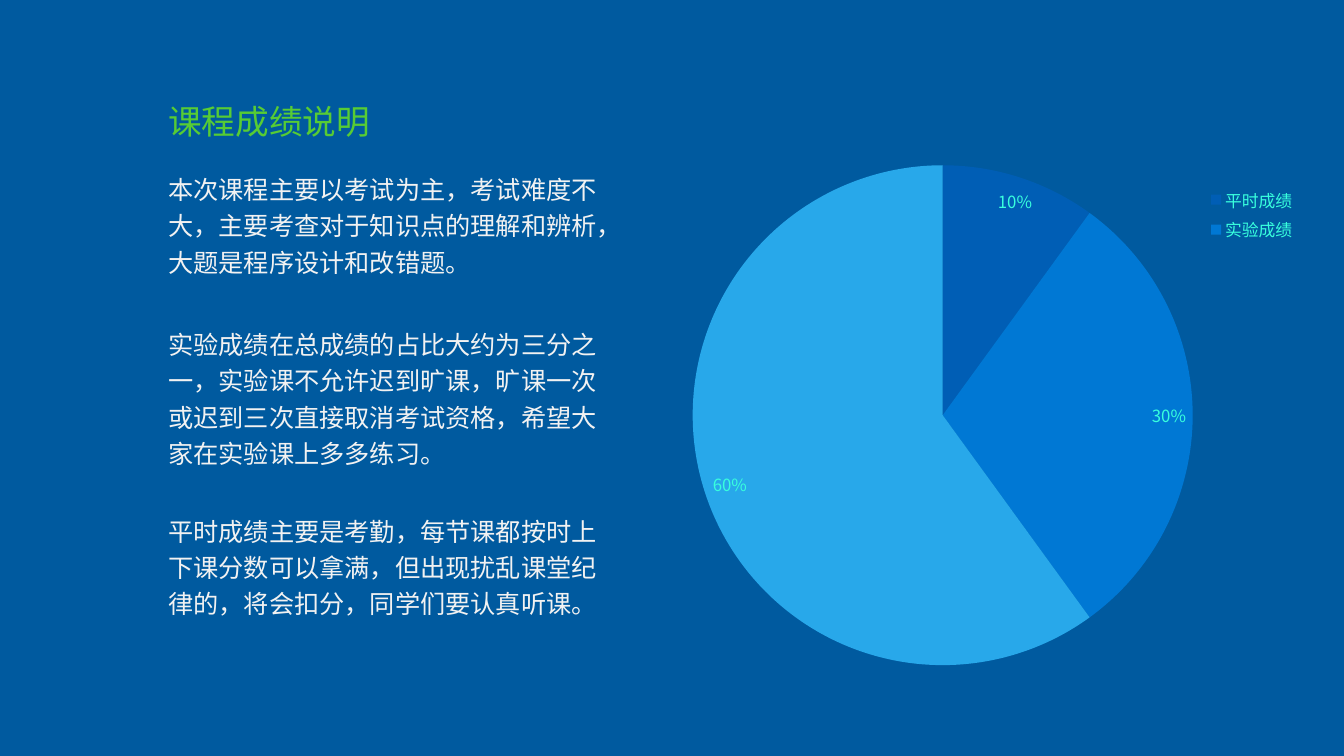
from lxml import etree
from pptx import Presentation
from pptx.chart.data import CategoryChartData
from pptx.dml.color import RGBColor
from pptx.enum.chart import XL_CHART_TYPE, XL_LABEL_POSITION, XL_LEGEND_POSITION
from pptx.enum.text import MSO_ANCHOR, MSO_AUTO_SIZE, PP_ALIGN
from pptx.oxml.ns import qn
from pptx.util import Inches, Pt

PIE = XL_CHART_TYPE.PIE
BEST_FIT = XL_LABEL_POSITION.BEST_FIT
LEGEND_RIGHT = XL_LEGEND_POSITION.RIGHT
TOP = MSO_ANCHOR.TOP
FIT_SHAPE = MSO_AUTO_SIZE.SHAPE_TO_FIT_TEXT
LEFT = PP_ALIGN.LEFT

FONT = "Noto Sans CJK SC"
BACKGROUND = RGBColor(0x00, 0x5A, 0x9F)
GREEN = RGBColor(0x57, 0xCC, 0x34)
OFF_WHITE = RGBColor(0xF2, 0xF2, 0xF2)
TURQUOISE = RGBColor(0x38, 0xFF, 0xDD)

TITLE = "课程成绩说明"
# top, height, text
NOTES = [
    (1.62, 1.17, "本次课程主要以考试为主，考试难度不大，主要考查对于知识点的理解和辨析，大题是程序设计和改错题。"),
    (3.16, 1.53, "实验成绩在总成绩的占比大约为三分之一，实验课不允许迟到旷课，旷课一次或迟到三次直接取消考试资格，希望大家在实验课上多多练习。"),
    (5.01, 1.17, "平时成绩主要是考勤，每节课都按时上下课分数可以拿满，但出现扰乱课堂纪律的，将会扣分，同学们要认真听课。"),
]
# category, share, colour
SHARES = [
    ("平时成绩", 0.1, RGBColor(0x00, 0x5E, 0xB5)),
    ("实验成绩", 0.3, RGBColor(0x00, 0x78, 0xD4)),
    ("考试成绩", 0.6, RGBColor(0x28, 0xA8, 0xEA)),
]
HIDDEN_LEGEND_ENTRY = 2

TEXT_LEFT = 1.57
# left, top, width, height
CHART_BOX = (5, 1.26, 9.76, 5.48)
PIE_BOX = (6.87, 1.64, 4.96, 4.96)
LEGEND_BOX = (11.94, 1.81, 0.95, 0.64)


def format_font(font, size, color):
    """Set size, colour and typeface, for East Asian text too."""
    font.size = Pt(size)
    font.color.rgb = color
    font.name = FONT
    latin = font._element.find(qn("a:latin"))
    east_asian = etree.Element(qn("a:ea"), typeface=FONT)
    latin.addnext(east_asian)


def fill_text(shape, text, size, color, line_spacing):
    frame = shape.text_frame
    frame.word_wrap = True
    frame.auto_size = FIT_SHAPE
    frame.vertical_anchor = TOP
    frame.text = text
    paragraph = frame.paragraphs[0]
    paragraph.alignment = LEFT
    paragraph.line_spacing = line_spacing
    format_font(paragraph.runs[0].font, size, color)


def make_layout(box, inner=False):
    """Return a c:layout placing a box, in slide inches, within the chart."""
    layout = etree.Element(qn("c:layout"))
    manual = etree.SubElement(layout, qn("c:manualLayout"))
    left, top, width, height = CHART_BOX
    values = {
        "xMode": "edge",
        "yMode": "edge",
        "x": (box[0] - left) / width,
        "y": (box[1] - top) / height,
        "w": box[2] / width,
        "h": box[3] / height,
    }
    if inner:
        values = {"layoutTarget": "inner", **values}
    for tag, value in values.items():
        etree.SubElement(manual, qn("c:" + tag), val=str(value))
    return layout


def add_pie(slide):
    data = CategoryChartData(number_format="0%")
    data.categories = [name for name, _, _ in SHARES]
    data.add_series("Series 1", [share for _, share, _ in SHARES])
    box = [Inches(length) for length in CHART_BOX]
    chart = slide.shapes.add_chart(PIE, *box, data).chart
    chart.has_title = False
    format_font(chart.font, 10, TURQUOISE)

    plot = chart.plots[0]
    plot.vary_by_categories = True
    for index, (_, _, color) in enumerate(SHARES):
        fill = plot.series[0].points[index].format.fill
        fill.solid()
        fill.fore_color.rgb = color

    plot.has_data_labels = True
    labels = plot.data_labels
    labels.show_value = True
    labels.show_percentage = False
    labels.number_format = "0%"
    labels.number_format_is_linked = False
    labels.position = BEST_FIT
    format_font(labels.font, 12, TURQUOISE)

    chart.has_legend = True
    legend = chart.legend
    legend.position = LEGEND_RIGHT
    legend.include_in_layout = False
    format_font(legend.font, 12, TURQUOISE)

    plot_area = chart._chartSpace.chart.plotArea
    for holder in (plot_area, legend._element):
        for layout in holder.findall(qn("c:layout")):
            holder.remove(layout)
    plot_area.insert(0, make_layout(PIE_BOX, inner=True))
    entry = etree.Element(qn("c:legendEntry"))
    etree.SubElement(entry, qn("c:idx"), val=str(HIDDEN_LEGEND_ENTRY))
    etree.SubElement(entry, qn("c:delete"), val="1")
    legend_position = legend._element.find(qn("c:legendPos"))
    legend_position.addnext(entry)
    entry.addnext(make_layout(LEGEND_BOX))


def main():
    presentation = Presentation()
    presentation.slide_width = Inches(13.33)
    presentation.slide_height = Inches(7.5)
    slide = presentation.slides.add_slide(presentation.slide_layouts[5])
    slide.background.fill.solid()
    slide.background.fill.fore_color.rgb = BACKGROUND

    add_pie(slide)
    for top, height, text in NOTES:
        note = slide.shapes.add_textbox(
            Inches(TEXT_LEFT), Inches(top), Inches(4.56), Inches(height))
        fill_text(note, text, 18, OFF_WHITE, 1.2)

    title = slide.shapes.title
    title.left, title.top = Inches(TEXT_LEFT), Inches(0.95)
    title.width, title.height = Inches(4.18), Inches(0.5)
    fill_text(title, TITLE, 24, GREEN, 1.0)

    presentation.save("out.pptx")


if __name__ == "__main__":
    main()
